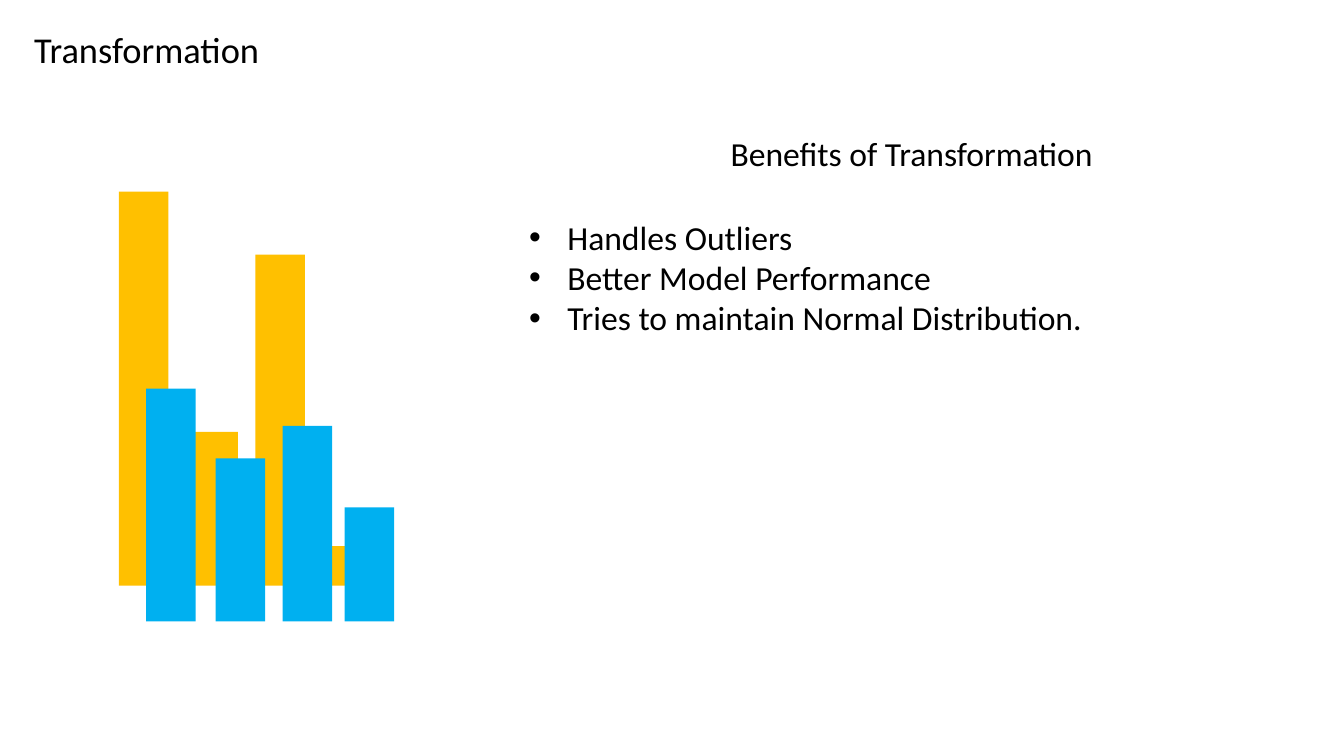
from pptx import Presentation
from pptx.dml.color import RGBColor
from pptx.enum.shapes import MSO_SHAPE
from pptx.enum.text import MSO_AUTO_SIZE
from pptx.oxml.ns import qn
from pptx.util import Emu, Inches, Pt
from lxml.etree import SubElement

COLS, ROWS = 40, 30
BAR_LEFTS = (0, 0.28, 0.55, 0.8)
BAR_WIDTH = 0.2


def rgb(value):
    return RGBColor.from_string(value)


def grid_box(prs, col, row, cols, rows):
    dx, dy = prs.slide_width / COLS, prs.slide_height / ROWS
    return [Emu(round(v)) for v in (col * dx, row * dy, cols * dx, rows * dy)]


def add_bullet(p):
    pPr = p._p.get_or_add_pPr()
    pPr.set("marL", str(Inches(0.38)))
    pPr.set("indent", str(-Inches(0.38)))
    SubElement(pPr, qn("a:buFont")).set("typeface", "Arial")
    SubElement(pPr, qn("a:buChar")).set("char", "•")


def add_text(s, box, lines, size, bulleted=False):
    tf = s.shapes.add_textbox(*box).text_frame
    tf.word_wrap = False
    tf.auto_size = MSO_AUTO_SIZE.SHAPE_TO_FIT_TEXT
    for i, line in enumerate(lines):
        p = tf.add_paragraph() if i else tf.paragraphs[0]
        if bulleted:
            add_bullet(p)
        r = p.add_run()
        r.text = line
        for name, value in {"name": "Calibri", "size": Pt(size)}.items():
            setattr(r.font, name, value)
        r.font.color.rgb = rgb("000000")


def add_bars(s, box, heights, color):
    left, top, width, height = box
    group = s.shapes.add_group_shape()
    for offset, share in zip(BAR_LEFTS, heights):
        sp = group.shapes.add_shape(
            MSO_SHAPE.RECTANGLE,
            Emu(round(left + offset * width)),
            Emu(round(top + (1 - share) * height)),
            Emu(round(BAR_WIDTH * width)),
            Emu(round(share * height)),
        )
        sp.shadow.inherit = False
        sp.fill.solid()
        sp.fill.fore_color.rgb = rgb(color)
        sp.line.fill.background()


def add_transformation_slide(prs):
    s = prs.slides.add_slide(prs.slide_layouts[6])
    add_text(s, grid_box(prs, 0.72, 0.88, 7.38, 2.16), ["Transformation"], 26)
    add_bars(s, grid_box(prs, 3.54, 7.6, 7.38, 15.64), (1, 0.39, 0.84, 0.1), "FFC000")
    add_bars(s, grid_box(prs, 4.35, 15.42, 7.38, 9.24), (1, 0.7, 0.84, 0.49), "00B0F0")
    benefits = [
        "Handles Outliers",
        "Better Model Performance",
        "Tries to maintain Normal Distribution.",
    ]
    add_text(s, grid_box(prs, 15.45, 8.4, 17.19, 5.24), benefits, 24, bulleted=True)
    add_text(s, grid_box(prs, 21.45, 5.08, 11.49, 2), ["Benefits of Transformation"], 24)


def main():
    prs = Presentation()
    prs.slide_width, prs.slide_height = Inches(13.33), Inches(7.5)
    add_transformation_slide(prs)
    prs.save("out.pptx")


if __name__ == "__main__":
    main()
